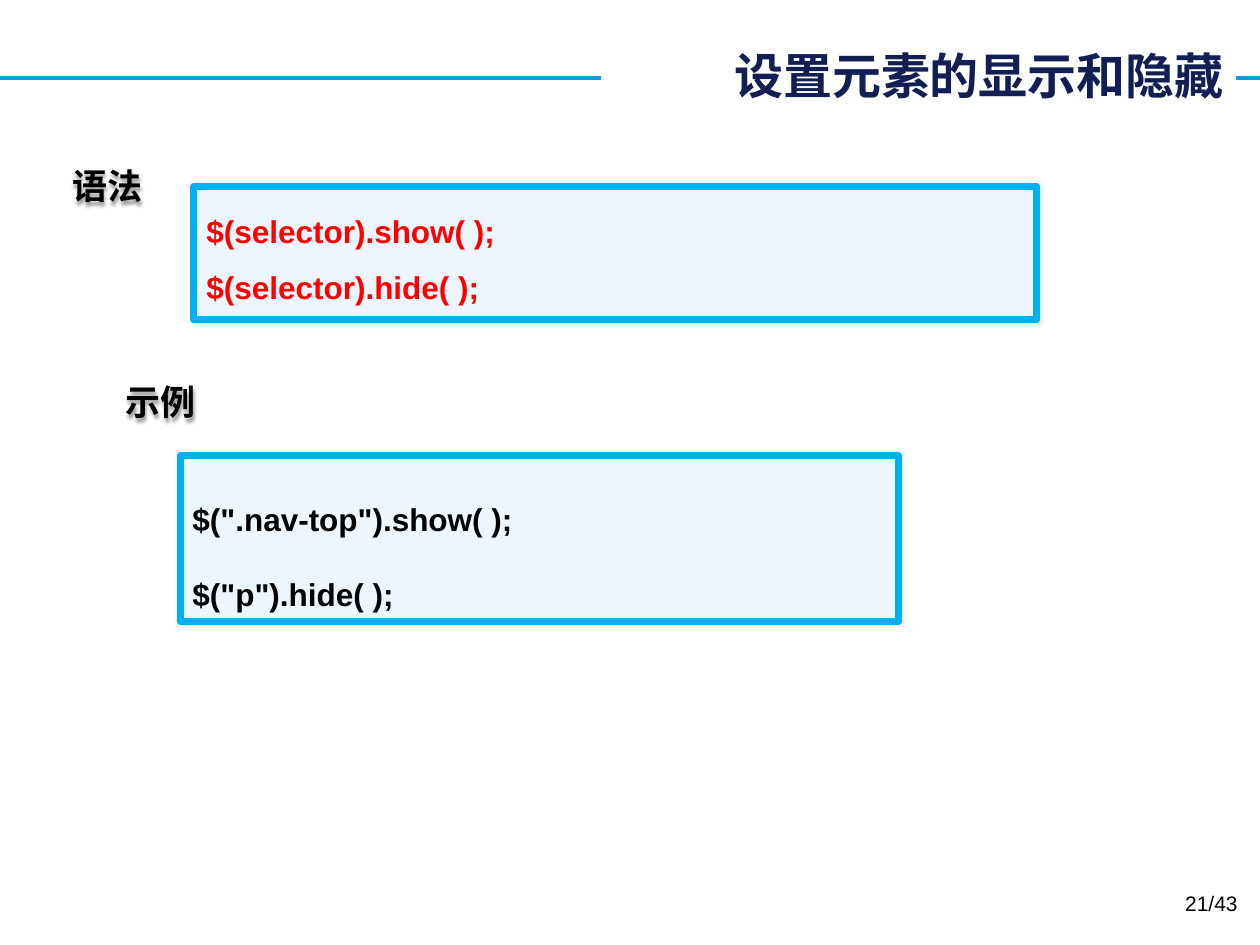
"""Build the slide on showing and hiding elements."""
import lxml.etree
import pptx
import pptx.dml.color
import pptx.enum.shapes
import pptx.enum.text
import pptx.oxml.ns
import pptx.util
from pptx.util import Cm

RULE_BLUE = pptx.dml.color.RGBColor(0x0E, 0x9C, 0xDE)
BORDER_BLUE = pptx.dml.color.RGBColor(0x00, 0xB0, 0xF0)
BOX_FILL = pptx.dml.color.RGBColor(0xED, 0xF5, 0xFD)
NAVY = pptx.dml.color.RGBColor(0x12, 0x1E, 0x54)
RED = pptx.dml.color.RGBColor(0xFF, 0x00, 0x00)
BLACK = pptx.dml.color.RGBColor(0x00, 0x00, 0x00)
WHITE = pptx.dml.color.RGBColor(0xFF, 0xFF, 0xFF)
CHINESE_FONT = "Noto Sans CJK SC"
qn = pptx.oxml.ns.qn


def format_text(paragraph, font_name, size, color, bold=True):
    for run in paragraph.runs:
        run.font.size = pptx.util.Pt(size)
        run.font.bold = bold
        run.font.color.rgb = color
        run.font.name = font_name
        lxml.etree.SubElement(run.font._element, qn("a:ea"), typeface=font_name)


def add_shadow(shape, opacity, blur, distance):
    shape.shadow.inherit = False
    effects = shape._element.spPr.find(qn("a:effectLst"))
    shadow = lxml.etree.SubElement(
        effects, qn("a:outerShdw"), blurRad=str(pptx.util.Pt(blur)),
        dist=str(pptx.util.Pt(distance)), dir="5400000", algn="ctr", rotWithShape="0")
    color = lxml.etree.SubElement(shadow, qn("a:srgbClr"), val=str(BLACK))
    lxml.etree.SubElement(color, qn("a:alpha"), val=str(opacity * 1000))


presentation = pptx.Presentation()
presentation.slide_width = Cm(25.4)
presentation.slide_height = Cm(19.05)
slide = presentation.slides.add_slide(presentation.slide_layouts[5])

rule = slide.shapes.add_connector(
    pptx.enum.shapes.MSO_CONNECTOR.STRAIGHT, 0, Cm(1.57), Cm(25.4), Cm(1.57))
rule.line.color.rgb = RULE_BLUE
rule.line.width = pptx.util.Pt(2.25)
lxml.etree.SubElement(rule._element.spPr, qn("a:effectLst"))

title = slide.shapes.title
title._element.addprevious(rule._element)
title.left, title.top, title.width, title.height = Cm(12.12), Cm(0.79), Cm(12.8), Cm(1.45)
title.fill.solid()
title.fill.fore_color.rgb = WHITE
title.text_frame.text = "设置元素的显示和隐藏"
title.text_frame.auto_size = pptx.enum.text.MSO_AUTO_SIZE.NONE
title.text_frame.vertical_anchor = pptx.enum.text.MSO_ANCHOR.MIDDLE
title.text_frame.paragraphs[0].alignment = pptx.enum.text.PP_ALIGN.RIGHT
format_text(title.text_frame.paragraphs[0], CHINESE_FONT, 28, NAVY)

for text, left, top in (("语法", 1.22, 3.18), ("示例", 2.29, 7.54)):
    label = slide.shapes.add_textbox(Cm(left), Cm(top), Cm(1.96), Cm(1.12))
    label.text_frame.text = text
    label.text_frame.word_wrap = False
    label.text_frame.vertical_anchor = pptx.enum.text.MSO_ANCHOR.MIDDLE
    format_text(label.text_frame.paragraphs[0], CHINESE_FONT, 20, BLACK)
    add_shadow(label, 40, 2, 2)

code_boxes = (
    ("$(selector).show( );\n$(selector).hide( );", 3.91, 3.76, 16.99, 2.69, 1.5, RED),
    ('$(".nav-top").show( );\n$("p").hide( );', 3.63, 9.19, 14.48, 3.33, 2.0, BLACK),
)
for code, left, top, width, height, spacing, color in code_boxes:
    box = slide.shapes.add_shape(
        pptx.enum.shapes.MSO_SHAPE.ROUNDED_RECTANGLE,
        Cm(left), Cm(top), Cm(width), Cm(height))
    box.adjustments[0] = 0
    box.fill.solid()
    box.fill.fore_color.rgb = BOX_FILL
    box.line.color.rgb = BORDER_BLUE
    box.line.width = pptx.util.Pt(4)
    add_shadow(box, 10, 3, 0)
    box.text_frame.text = code
    box.text_frame.word_wrap = True
    box.text_frame.vertical_anchor = pptx.enum.text.MSO_ANCHOR.TOP
    for paragraph in box.text_frame.paragraphs:
        paragraph.alignment = pptx.enum.text.PP_ALIGN.LEFT
        paragraph.line_spacing = spacing
        tabs = lxml.etree.SubElement(paragraph._p.get_or_add_pPr(), qn("a:tabLst"))
        lxml.etree.SubElement(tabs, qn("a:tab"), pos=str(Cm(1.24)), algn="l")
        format_text(paragraph, "Arial", 18, color)

page_number = slide.shapes.add_textbox(Cm(19.28), Cm(17.83), Cm(5.92), Cm(1.02))
page_number.text_frame.text = "21/43"
page_number.text_frame.word_wrap = True
page_number.text_frame.paragraphs[0].alignment = pptx.enum.text.PP_ALIGN.RIGHT
format_text(page_number.text_frame.paragraphs[0], "Arial", 12, BLACK, bold=False)

presentation.save("out.pptx")
